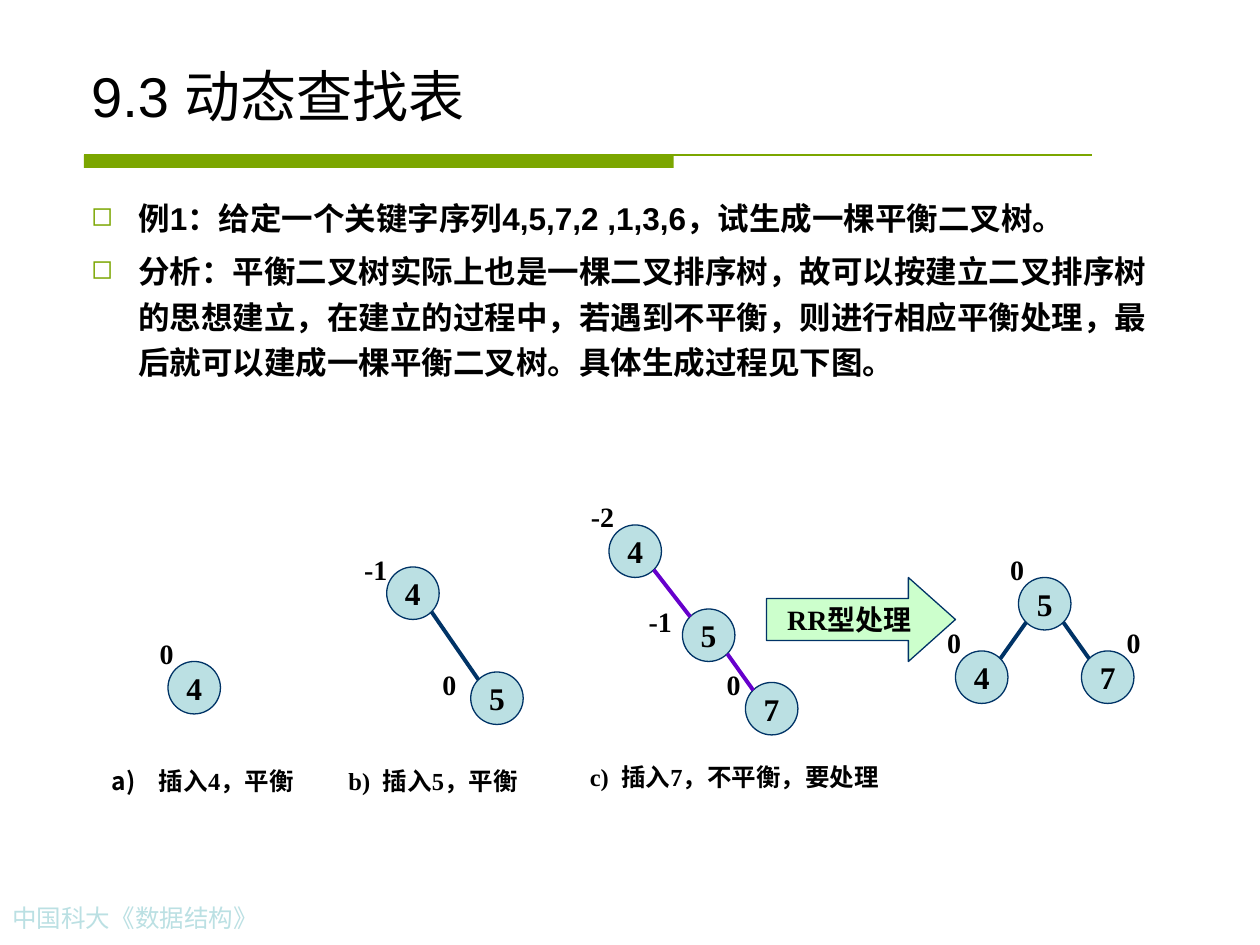
from lxml import etree
from pptx import Presentation
from pptx.dml.color import RGBColor
from pptx.enum.shapes import MSO_CONNECTOR, MSO_SHAPE
from pptx.enum.text import MSO_ANCHOR, MSO_AUTO_SIZE, PP_ALIGN
from pptx.oxml.ns import qn
from pptx.util import Pt

STRAIGHT = MSO_CONNECTOR.STRAIGHT
ELLIPSE, ARROW, BAR = MSO_SHAPE.OVAL, MSO_SHAPE.RIGHT_ARROW, MSO_SHAPE.RECTANGLE
MIDDLE, BOTTOM, TOP = MSO_ANCHOR.MIDDLE, MSO_ANCHOR.BOTTOM, MSO_ANCHOR.TOP
CENTER, LEFT = PP_ALIGN.CENTER, PP_ALIGN.LEFT
FIT, FIXED = MSO_AUTO_SIZE.SHAPE_TO_FIT_TEXT, MSO_AUTO_SIZE.NONE

GREEN, NAVY, PURPLE = "7BA600", "003366", "6600CC"
PALE_BLUE, PALE_GREEN, BLACK = "BBE0E3", "CCFFCC", "000000"

TITLE = {"name": "Arial", "size": Pt(32)}
BODY = {"name": "Arial", "size": Pt(18), "bold": True}
FOOTER = {"name": "Times New Roman", "size": Pt(14)}
KEY = {"name": "Times New Roman", "size": Pt(18), "bold": True}
FACTOR = {**KEY, "size": Pt(16)}
CAPTION = {**KEY, "size": Pt(14)}

NODE = 30  # diameter of a tree node
DIAGONAL = NODE / 2 * 0.5 ** 0.5  # centre to edge end, along each axis

# Trees: node = key, left, top, balance factor, factor offset x and y;
# edge = parent index, child index
TREES = [
    {"nodes": [("4", 96, 378, "0", -12, -18)], "edges": [], "edge_color": NAVY},
    {"nodes": [("4", 221, 324, "-1", -20, -12),
               ("5", 269, 384, "0", -23.5, -6)],
     "edges": [(0, 1)], "edge_color": NAVY},
    {"nodes": [("4", 348, 300, "-2", -17.5, -18),
               ("5", 390, 348, "-1", -26.5, -6),
               ("7", 426, 390, "0", -18, -12)],
     "edges": [(0, 1), (1, 2)], "edge_color": PURPLE},
    {"nodes": [("5", 582, 330, "0", -12, -18),
               ("4", 546, 372, "0", -12, -18),
               ("7", 618, 372, "0", 18.5, -18)],
     "edges": [(0, 1), (0, 2)], "edge_color": NAVY},
]


def rgb(hex_color):
    return RGBColor.from_string(hex_color)


def apply_format(target, values):
    for name, value in values.items():
        setattr(target, name, value)


def write(paragraph, text, style, color=BLACK, **layout):
    apply_format(paragraph, layout)
    run = paragraph.add_run()
    run.text = text
    apply_format(run.font, style)
    run.font.color.rgb = rgb(color)


def add_marker(paragraph, tag, color=BLACK, size=None, **attributes):
    """Give the paragraph a hanging bullet or number."""
    props = paragraph._p.get_or_add_pPr()
    props.set("marL", str(Pt(27)))
    props.set("indent", str(-Pt(27)))
    bullet_color = etree.SubElement(props, qn("a:buClr"))
    etree.SubElement(bullet_color, qn("a:srgbClr"), val=color)
    if size:
        etree.SubElement(props, qn("a:buSzPct"), val=str(size * 1000))
    etree.SubElement(props, qn(tag), **attributes)


def add_text_box(slide, left, top, width, height, **frame_format):
    box = slide.shapes.add_textbox(Pt(left), Pt(top), Pt(width), Pt(height))
    apply_format(box.text_frame, {"word_wrap": True, "auto_size": FIXED,
                                  "vertical_anchor": TOP, **frame_format})
    return box.text_frame.paragraphs[0]


def add_label(slide, left, top, width, height):
    return add_text_box(slide, left, top, width, height,
                        word_wrap=False, auto_size=FIT)


def add_filled(slide, preset, left, top, width, height, fill, line):
    shape = slide.shapes.add_shape(preset, Pt(left), Pt(top), Pt(width), Pt(height))
    shape.shadow.inherit = False
    shape.fill.solid()
    shape.fill.fore_color.rgb = rgb(fill)
    if line:
        shape.line.color.rgb = rgb(line)
        shape.line.width = Pt(0.75)
    else:
        shape.line.fill.background()
    apply_format(shape.text_frame, {"word_wrap": False, "vertical_anchor": MIDDLE})
    return shape


def add_line(slide, start, end, color, weight):
    line = slide.shapes.add_connector(STRAIGHT, *map(Pt, (*start, *end)))
    line.line.color.rgb = rgb(color)
    line.line.width = Pt(weight)
    etree.SubElement(line._element.spPr, qn("a:effectLst"))


def add_node(slide, key, left, top, factor, shift_x, shift_y):
    circle = add_filled(slide, ELLIPSE, left, top, NODE, NODE, PALE_BLUE, NAVY)
    write(circle.text_frame.paragraphs[0], key, KEY, alignment=CENTER)
    label_width = 22.5 if len(factor) == 1 else 27.5
    label = add_label(slide, left + shift_x, top + shift_y, label_width, 26.5)
    write(label, factor, FACTOR, alignment=CENTER)


def add_edge(slide, parent, child, color):
    parent_x, parent_y = (value + NODE / 2 for value in parent[1:3])
    child_x, child_y = (value + NODE / 2 for value in child[1:3])
    side = DIAGONAL if child_x > parent_x else -DIAGONAL
    add_line(slide, (parent_x + side, parent_y + DIAGONAL),
             (child_x - side, child_y - DIAGONAL), color, 2.25)


def add_tree(slide, nodes, edges, edge_color):
    for node in nodes:
        add_node(slide, *node)
    for parent, child in edges:
        add_edge(slide, nodes[parent], nodes[child], edge_color)


def add_body(slide, texts):
    paragraph = add_text_box(slide, 45, 106, 633.5, 128)
    frame = paragraph._parent
    for index, text in enumerate(texts):
        if index:
            paragraph = frame.add_paragraph()
        add_marker(paragraph, "a:buChar", GREEN, 85, char="◻")
        write(paragraph, text, BODY, alignment=LEFT, line_spacing=1.2,
              space_before=Pt(4.5 if index else 0))


def main():
    deck = Presentation()
    deck.slide_width, deck.slide_height = Pt(720), Pt(540)
    slide = deck.slides.add_slide(deck.slide_layouts[6])

    # Rule under the title, and footer
    add_filled(slide, BAR, 48, 88.5, 337, 7.5, GREEN, None)
    add_line(slide, (48, 88.5), (624, 88.5), GREEN, 0.75)
    write(add_text_box(slide, 0, 512.5, 224, 24.5), "中国科大《数据结构》",
          FOOTER, PALE_BLUE)

    # Title and explanation
    title = add_text_box(slide, 45, 24, 630, 53, vertical_anchor=BOTTOM)
    write(title, "9.3 动态查找表", TITLE)
    add_body(slide, [
        "例1：给定一个关键字序列4,5,7,2 ,1,3,6，试生成一棵平衡二叉树。",
        "分析：平衡二叉树实际上也是一棵二叉排序树，故可以按建立二叉排序树的思想建立，"
        "在建立的过程中，若遇到不平衡，则进行相应平衡处理，最后就可以建成一棵平衡二叉树。"
        "具体生成过程见下图。",
    ])

    # Trees after each insertion
    for tree in TREES:
        add_tree(slide, **tree)

    # Rotation step
    rotation = add_filled(slide, ARROW, 438, 330, 108, 48, PALE_GREEN, NAVY)
    rotation.adjustments[0], rotation.adjustments[1] = 0.5, 0.56
    write(rotation.text_frame.paragraphs[0], "RR型处理", FACTOR, alignment=CENTER)

    # Captions
    first_caption = add_label(slide, 53.5, 434, 125, 24.5)
    add_marker(first_caption, "a:buAutoNum", type="alphaLcParenR")
    write(first_caption, "插入4，平衡", CAPTION, alignment=CENTER)
    for text, left, top, width in [("b)  插入5，平衡", 187, 434, 121),
                                   ("c)  插入7，不平衡，要处理", 325, 432, 189.5)]:
        write(add_label(slide, left, top, width, 24.5), text, CAPTION,
              alignment=CENTER)

    deck.save("out.pptx")


if __name__ == "__main__":
    main()
